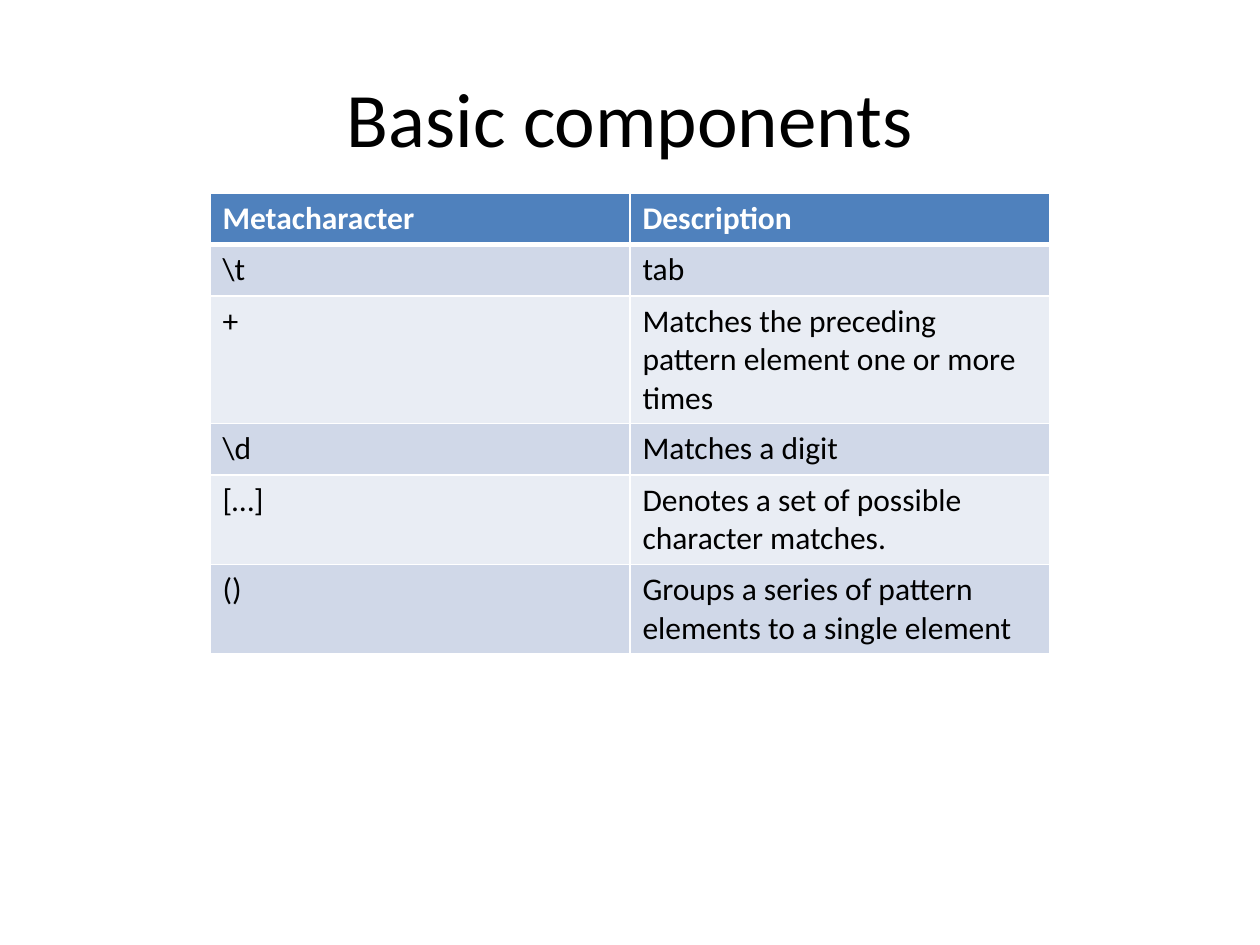
from lxml.etree import SubElement
from pptx import Presentation
from pptx.dml.color import RGBColor
from pptx.enum.text import MSO_ANCHOR, PP_ALIGN
from pptx.oxml.ns import qn
from pptx.util import Inches, Pt

BLACK = RGBColor(0x00, 0x00, 0x00)
WHITE = RGBColor(0xFF, 0xFF, 0xFF)
HEADER_BLUE = RGBColor(0x4F, 0x81, 0xBD)
BANDS = [RGBColor(0xE9, 0xED, 0xF4), RGBColor(0xD0, 0xD8, 0xE8)]
FONT = "Calibri"

ROWS = [
    ("Metacharacter", "Description"),
    ("\\t", "tab"),
    ("+", "Matches the preceding pattern element one or more times"),
    ("\\d", "Matches a digit"),
    ("[…]", "Denotes a set of possible character matches."),
    ("()", "Groups a series of pattern elements to a single element"),
]


def style_text(para, size, color, bold=False):
    """Set the font of a whole paragraph."""
    font = para.font
    font.name, font.size, font.bold = FONT, Pt(size), bold
    font.color.rgb = color


def add_border(cell, side, width):
    """Draw a white line on one side (L, R, T or B) of a cell."""
    props = cell._tc.get_or_add_tcPr()
    line = SubElement(props, qn(f"a:ln{side}"), w=str(Pt(width)))
    fill = SubElement(line, qn("a:solidFill"))
    SubElement(fill, qn("a:srgbClr"), val=str(WHITE))


deck = Presentation()
deck.slide_width, deck.slide_height = Inches(10), Inches(7.5)
page = deck.slides.add_slide(deck.slide_layouts[6])

# Title
title_box = page.shapes.add_textbox(
    Inches(0.5), Inches(0.3), deck.slide_width - Inches(1), Inches(1.25))
title = title_box.text_frame
title.word_wrap = True
title.vertical_anchor = MSO_ANCHOR.MIDDLE
title.text = "Basic components"
title.paragraphs[0].alignment = PP_ALIGN.CENTER
style_text(title.paragraphs[0], 44, BLACK)

# Table: two equal columns, two thirds of the slide wide and centred
table_width = deck.slide_width * 2 // 3
row_heights = [0.41, 0.41, 1.01, 0.41, 0.71, 0.71]
table = page.shapes.add_table(
    len(ROWS), 2, (deck.slide_width - table_width) // 2, Inches(1.53),
    table_width, Inches(sum(row_heights))).table

for r, texts in enumerate(ROWS):
    table.rows[r].height = Inches(row_heights[r])
    is_header = r == 0
    for c, text in enumerate(texts):
        cell = table.cell(r, c)
        cell.text = text
        style_text(cell.text_frame.paragraphs[0], 18,
                   WHITE if is_header else BLACK, is_header)
        for side in "LRTB":
            at_header_rule = (r, side) in [(0, "B"), (1, "T")]
            add_border(cell, side, 3 if at_header_rule else 1)
        cell.fill.solid()
        cell.fill.fore_color.rgb = HEADER_BLUE if is_header else BANDS[r % 2]

deck.save("out.pptx")
